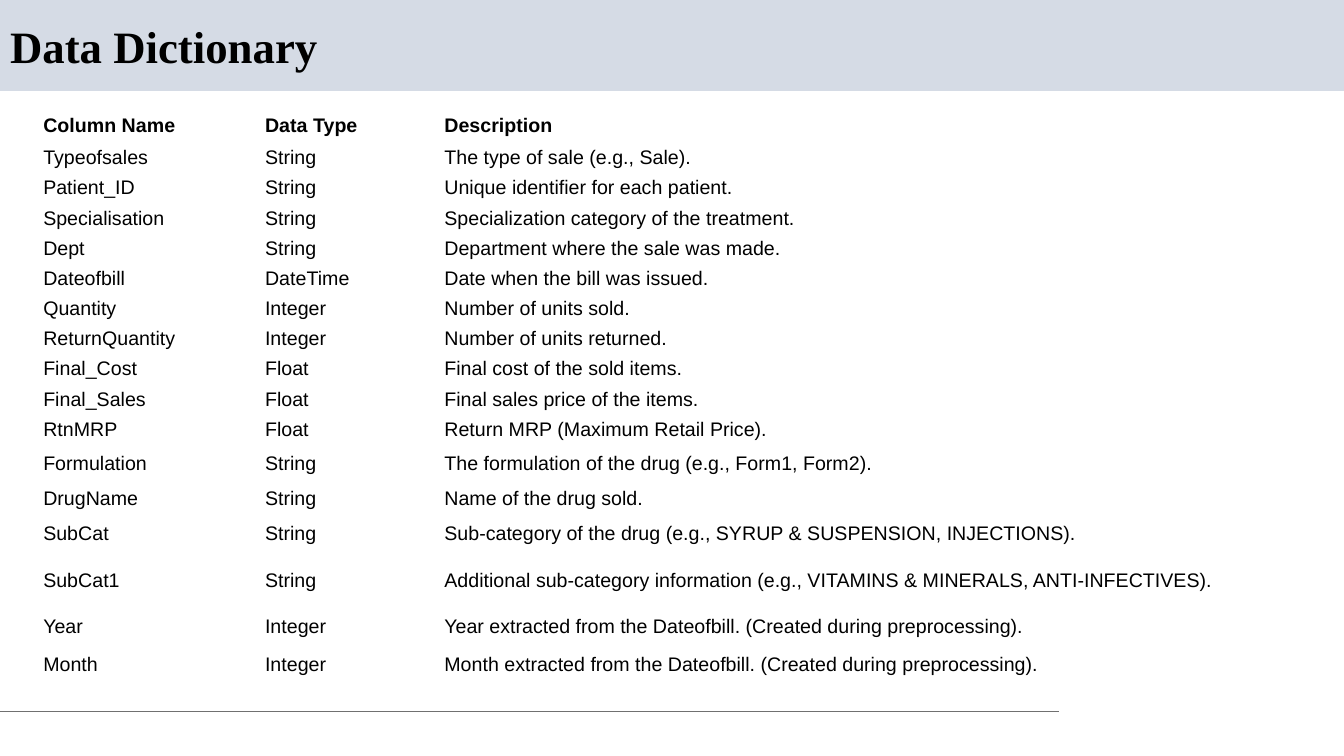
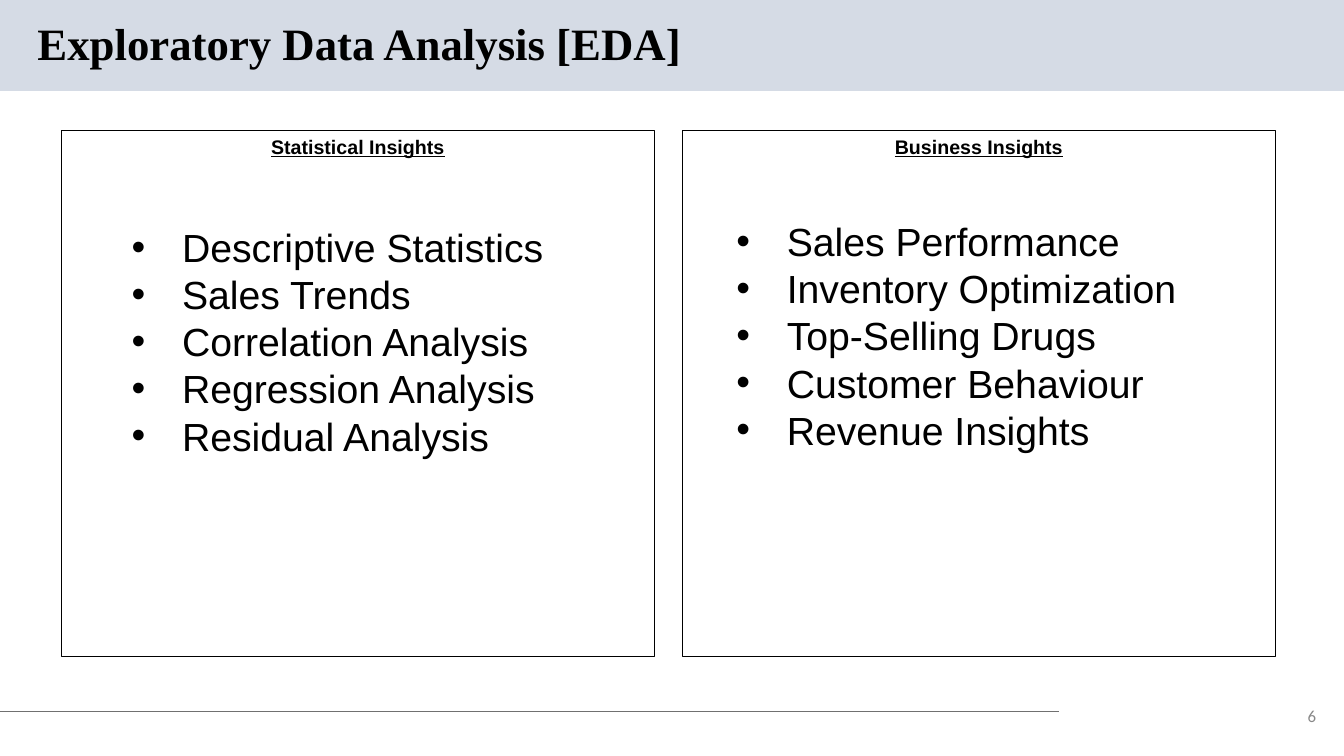
from dataclasses import dataclass

from lxml import etree
from pptx import Presentation
from pptx.dml.color import RGBColor
from pptx.enum.shapes import MSO_CONNECTOR, MSO_SHAPE
from pptx.enum.text import MSO_ANCHOR, MSO_AUTO_SIZE, PP_ALIGN
from pptx.oxml.ns import qn
from pptx.util import Cm, Pt

RECTANGLE = MSO_SHAPE.RECTANGLE
STRAIGHT = MSO_CONNECTOR.STRAIGHT
MIDDLE = MSO_ANCHOR.MIDDLE
NO_AUTOFIT = MSO_AUTO_SIZE.NONE
LEFT, CENTER, RIGHT = PP_ALIGN.LEFT, PP_ALIGN.CENTER, PP_ALIGN.RIGHT

BLACK, BAND_BLUE, RULE_GREY, NUMBER_GREY = "000000", "D5DBE5", "707070", "888888"
TITLE_FONT, BODY_FONT, NUMBER_FONT = "Times New Roman", "Arial", "Calibri"
PAGE_WIDTH, PAGE_HEIGHT = 33.87, 19.05
TITLE_ONLY = 5


@dataclass
class Area:
    """A rectangle on the page, in centimetres."""
    left: float
    top: float
    width: float
    height: float

    def lengths(self) -> tuple:
        return Cm(self.left), Cm(self.top), Cm(self.width), Cm(self.height)


@dataclass
class Column:
    name: str
    data_type: str
    description: str
    height: float = 0.76


@dataclass
class Panel:
    heading: str
    items: list
    list_area: Area


TABLE_LEFT, TABLE_TOP = 0.91, 2.74
COLUMN_WIDTHS = [5.59, 4.52, 22.22]
DICTIONARY = [
    Column("Column Name", "Data Type", "Description", 0.86),
    Column("Typeofsales", "String", "The type of sale (e.g., Sale)."),
    Column("Patient_ID", "String", "Unique identifier for each patient."),
    Column("Specialisation", "String", "Specialization category of the treatment."),
    Column("Dept", "String", "Department where the sale was made."),
    Column("Dateofbill", "DateTime", "Date when the bill was issued."),
    Column("Quantity", "Integer", "Number of units sold."),
    Column("ReturnQuantity", "Integer", "Number of units returned."),
    Column("Final_Cost", "Float", "Final cost of the sold items."),
    Column("Final_Sales", "Float", "Final sales price of the items."),
    Column("RtnMRP", "Float", "Return MRP (Maximum Retail Price)."),
    Column("Formulation", "String", "The formulation of the drug (e.g., Form1, Form2).", 0.99),
    Column("DrugName", "String", "Name of the drug sold."),
    Column("SubCat", "String",
           "Sub-category of the drug (e.g., SYRUP & SUSPENSION, INJECTIONS).", 0.99),
    Column("SubCat1", "String",
           "Additional sub-category information (e.g., VITAMINS & MINERALS, ANTI-INFECTIVES).", 1.4),
    Column("Year", "Integer",
           "Year extracted from the Dateofbill. (Created during preprocessing).", 0.91),
    Column("Month", "Integer",
           "Month extracted from the Dateofbill. (Created during preprocessing).", 0.99),
]

PANEL_LEFT, PANEL_TOP, PANEL_WIDTH, PANEL_HEIGHT = 1.55, 3.28, 14.94, 13.26
PANEL_STEP = 15.65
HEADING_HEIGHT = 0.86
BULLET_INDENT = 1.27
PANELS = [
    Panel("Statistical Insights",
          ["Descriptive Statistics", "Sales Trends", "Correlation Analysis",
           "Regression Analysis", "Residual Analysis"],
          Area(3.07, 5.51, 11.89, 7.44)),
    Panel("Business Insights",
          ["Sales Performance", "Inventory Optimization", "Top-Selling Drugs",
           "Customer Behaviour", "Revenue Insights"],
          Area(18.31, 5.36, 12.17, 6.25)),
]


def colour(value: str) -> RGBColor:
    return RGBColor.from_string(value)


def style_font(font, name: str, size: float, shade: str = BLACK, bold: bool = False) -> None:
    font.name, font.size, font.bold = name, Pt(size), bold
    font.color.rgb = colour(shade)


def add_rectangle(page, area: Area, fill: str = "", line: str = ""):
    box = page.shapes.add_shape(RECTANGLE, *area.lengths())
    box.shadow.inherit = False
    if fill:
        box.fill.solid()
        box.fill.fore_color.rgb = colour(fill)
    else:
        box.fill.background()
    if line:
        box.line.color.rgb = colour(line)
        box.line.width = Pt(0.75)
    else:
        box.line.fill.background()
    return box


def add_text(page, area: Area, lines: list, font: str, size: float,
             shade: str = BLACK, bold: bool = False, align=LEFT):
    frame = page.shapes.add_textbox(*area.lengths()).text_frame
    frame.word_wrap = True
    frame.text = "\n".join(lines)
    for para in frame.paragraphs:
        para.alignment = align
        style_font(para.font, font, size, shade, bold)
    return frame


def add_bullet(para) -> None:
    properties = para._p.get_or_add_pPr()
    properties.set("marL", str(Cm(BULLET_INDENT)))
    properties.set("indent", str(-Cm(BULLET_INDENT)))
    bullet_font = etree.Element(qn("a:buFont"), typeface=BODY_FONT)
    bullet = etree.Element(qn("a:buChar"), char="•")
    # Bullet elements come before the default run properties
    run_defaults = properties.find(qn("a:defRPr"))
    run_defaults.addprevious(bullet_font)
    run_defaults.addprevious(bullet)


def decorate_layout(layout, page) -> None:
    """Draw the title band and footer rule, then hand them to the shared layout."""
    band = add_rectangle(page, Area(0, 0, PAGE_WIDTH, 2.29), fill=BAND_BLUE)
    rule = page.shapes.add_connector(STRAIGHT, 0, Cm(17.93), Cm(26.7), Cm(17.93))
    rule.line.color.rgb = colour(RULE_GREY)
    rule.line.width = Pt(0.75)
    etree.SubElement(rule._element.spPr, qn("a:effectLst"))
    for number, shape in enumerate([rule, band], start=101):
        shape._element.xpath("./*/p:cNvPr")[0].set("id", str(number))
        layout.shapes._spTree.insert(2, shape._element)


def add_page(deck, title: str, area: Area):
    page = deck.slides.add_slide(deck.slide_layouts[TITLE_ONLY])
    box = page.shapes.title
    box.left, box.top, box.width, box.height = area.lengths()
    frame = box.text_frame
    frame.text = title
    frame.auto_size = NO_AUTOFIT
    frame.vertical_anchor = MIDDLE
    para = frame.paragraphs[0]
    para.alignment = LEFT
    para.line_spacing = 0.9
    style_font(para.font, TITLE_FONT, 32, bold=True)
    return page


def add_dictionary(page) -> None:
    area = Area(TABLE_LEFT, TABLE_TOP, sum(COLUMN_WIDTHS),
                sum(entry.height for entry in DICTIONARY))
    table = page.shapes.add_table(len(DICTIONARY), len(COLUMN_WIDTHS), *area.lengths()).table
    table.first_row = table.horz_banding = False
    for column, width in zip(table.columns, COLUMN_WIDTHS):
        column.width = Cm(width)
    for index, (row, entry) in enumerate(zip(table.rows, DICTIONARY)):
        row.height = Cm(entry.height)
        for cell, text in zip(row.cells, (entry.name, entry.data_type, entry.description)):
            cell.text = text
            cell.fill.background()
            cell.vertical_anchor = MIDDLE
            cell.margin_left = cell.margin_right = Cm(0.18)
            cell.margin_top = cell.margin_bottom = Cm(0.08)
            style_font(cell.text_frame.paragraphs[0].font, BODY_FONT, 14, bold=index == 0)


def add_panel(page, panel: Panel, left: float) -> None:
    add_rectangle(page, Area(left, PANEL_TOP, PANEL_WIDTH, PANEL_HEIGHT), line=BLACK)
    heading = add_text(page, Area(left, PANEL_TOP, PANEL_WIDTH, HEADING_HEIGHT),
                       [panel.heading], BODY_FONT, 14, bold=True, align=CENTER)
    heading.paragraphs[0].font.underline = True
    for para in add_text(page, panel.list_area, panel.items, BODY_FONT, 28).paragraphs:
        add_bullet(para)


def main() -> None:
    deck = Presentation()
    deck.slide_width, deck.slide_height = Cm(PAGE_WIDTH), Cm(PAGE_HEIGHT)

    # Data dictionary
    page = add_page(deck, "Data Dictionary", Area(0, 0.48, 29.21, 1.5))
    decorate_layout(deck.slide_layouts[TITLE_ONLY], page)
    add_dictionary(page)

    # Exploratory analysis
    page = add_page(deck, "Exploratory Data Analysis [EDA]", Area(0.69, 0.41, 25.68, 1.5))
    for index, panel in enumerate(PANELS):
        add_panel(page, panel, PANEL_LEFT + index * PANEL_STEP)
    number = add_text(page, Area(32.33, 17.63, 1.09, 0.81), ["6"],
                      NUMBER_FONT, 12, NUMBER_GREY, align=RIGHT)
    number.vertical_anchor = MIDDLE

    deck.save("out.pptx")


if __name__ == "__main__":
    main()
